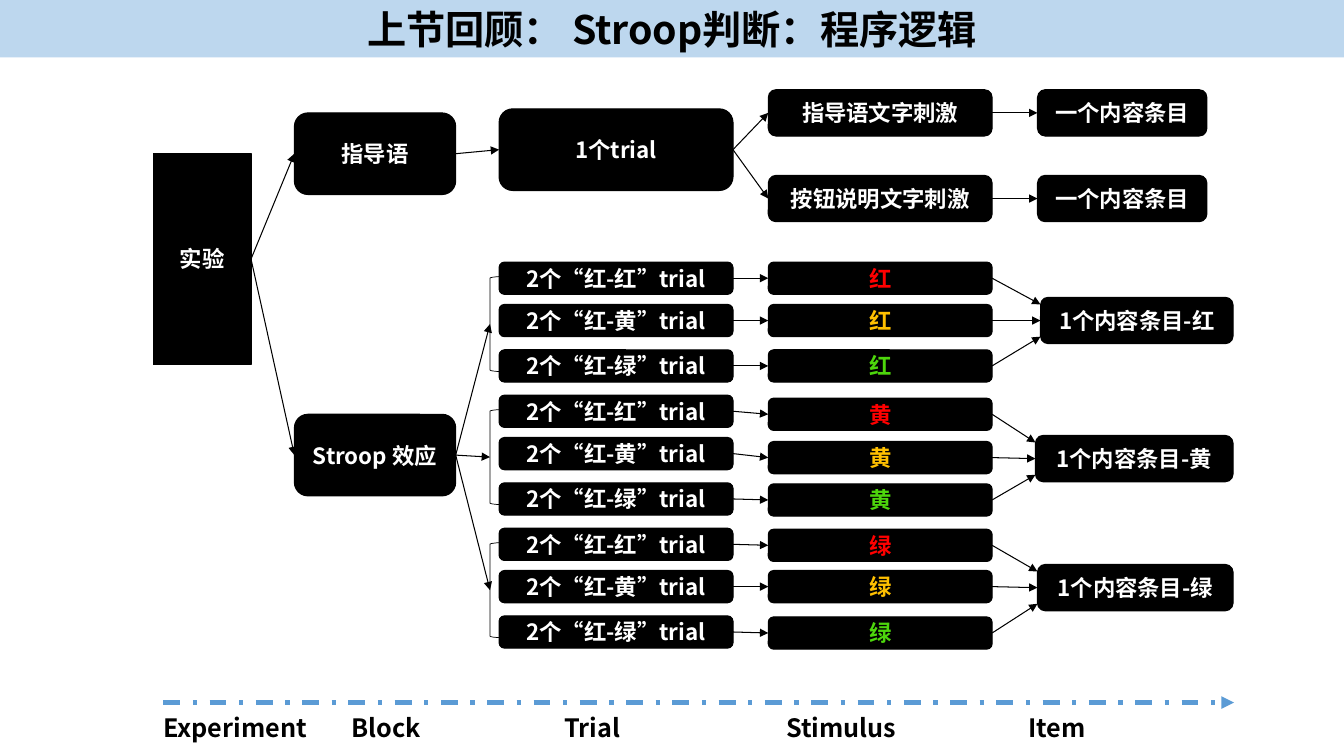
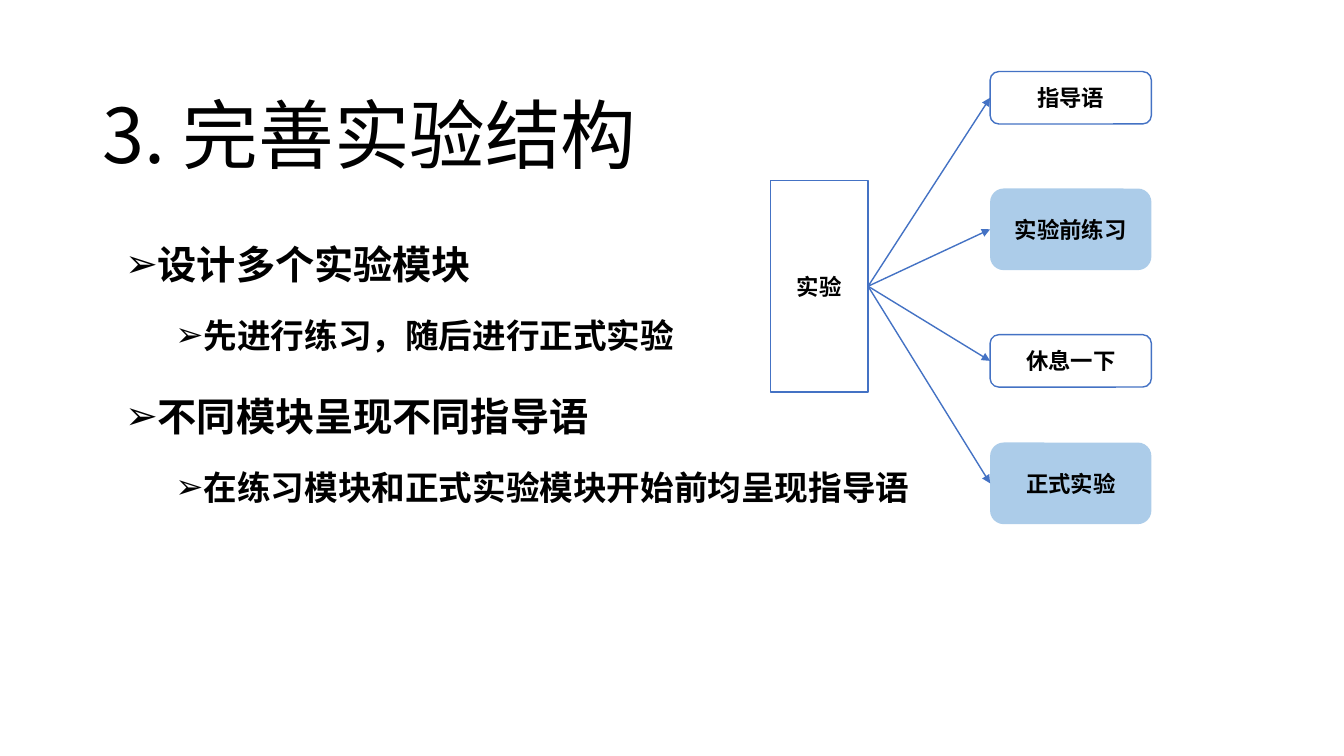
"""Build two slides on the structure of a Stroop experiment."""
from dataclasses import dataclass
from typing import Any, Optional

from lxml.etree import SubElement as Sub
from pptx import Presentation
from pptx.dml.color import RGBColor as RGB
from pptx.enum.dml import MSO_LINE as Dash
from pptx.enum.shapes import MSO_CONNECTOR as Conn, MSO_SHAPE as Form
from pptx.enum.text import MSO_ANCHOR as Anchor, MSO_AUTO_SIZE as Auto, PP_ALIGN as Align
from pptx.oxml.ns import qn
from pptx.util import Inches, Pt

SANS = "Noto Sans CJK SC"
PLAIN = "Noto Sans CJK JP"
BLACK, WHITE = "000000", "FFFFFF"
BAND, SKY, BLUE = "BDD7EE", "5B9BD5", "4472C4"
HUES = ("FF0000", "FFC000", "4DD60C")
WORDS = ("红", "黄", "绿")
STEPS = (0, 0.42, 0.87)
PORTS = (0.07, 0.23, 0.39)

Point = tuple[float, float]


@dataclass(frozen=True)
class Box:
    """A labelled box of a flow chart."""
    text: str
    left: float
    top: float
    width: float
    height: float
    ink: str = WHITE
    fill: str = BLACK
    edge: Optional[str] = BLACK
    weight: float = 0.75
    form: Any = Form.ROUNDED_RECTANGLE
    alpha: Optional[int] = None

    @property
    def start(self) -> Point:
        """Return the middle of the left side."""
        return self.left, self.top + self.height / 2

    @property
    def end(self) -> Point:
        """Return the middle of the right side."""
        return self.left + self.width, self.top + self.height / 2


@dataclass(frozen=True)
class Group:
    """Three trials with their stimuli and the item they share."""
    word: str
    top: float
    stims: tuple[float, float, float]
    item: Box


GROUPS = (
    Group("红", 2.6, (2.6, 3.02, 3.47), Box("1个内容条目-红", 10.32, 2.95, 1.91, 0.46)),
    Group("黄", 3.92, (3.95, 4.38, 4.8), Box("1个内容条目-黄", 10.27, 4.32, 1.96, 0.46)),
    Group("绿", 5.24, (5.25, 5.66, 6.12), Box("1个内容条目-绿", 10.29, 5.6, 1.94, 0.46)),
)
LABELS = ("Experiment", "Block", "Trial", "Stimulus", "Item")
TABS = (1.87, 3.98, 6.18, 8.58)
POINTS = (
    (0, "设计多个实验模块"),
    (1, "先进行练习，随后进行正式实验"),
    (0, "不同模块呈现不同指导语"),
    (1, "在练习模块和正式实验模块开始前均呈现指导语"),
)


def paint(fill: Any, tint: str) -> None:
    """Fill with a solid colour."""
    fill.solid()
    fill.fore_color.rgb = RGB.from_string(tint)


def style(para: Any, size: float, ink: str = BLACK, bold: bool = True, face: str = SANS) -> None:
    """Format every run of a paragraph."""
    for run in para.runs:
        font = run.font
        font.size, font.bold, font.name = Pt(size), bold, face
        paint(font.fill, ink)
        Sub(font._element, qn("a:ea"), typeface=face)


def place(shape: Any, left: float, top: float, width: float, height: float) -> None:
    """Move and size a shape."""
    shape.left, shape.top = Inches(left), Inches(top)
    shape.width, shape.height = Inches(width), Inches(height)


def draw(slide: Any, box: Box) -> Box:
    """Draw a box and hand it back."""
    size = (Inches(n) for n in (box.left, box.top, box.width, box.height))
    shape = slide.shapes.add_shape(box.form, *size)
    shape.shadow.inherit = False
    paint(shape.fill, box.fill)
    if box.alpha:
        tint = shape._element.spPr.find(".//" + qn("a:srgbClr"))
        Sub(tint, qn("a:alpha"), val=str(box.alpha * 1000))
    if box.edge:
        paint(shape.line.fill, box.edge)
        shape.line.width = Pt(box.weight)
    else:
        shape.line.fill.background()
    frame = shape.text_frame
    frame.word_wrap = True
    frame.vertical_anchor = Anchor.MIDDLE
    frame.text = box.text
    frame.paragraphs[0].alignment = Align.CENTER
    style(frame.paragraphs[0], 16, box.ink)
    return box


def arrow(slide: Any, start: Point, end: Point, tint: str = BLACK,
          weight: float = 0.75, dash: Any = None) -> None:
    """Draw a straight arrow."""
    ends = (Inches(n) for n in start + end)
    link = slide.shapes.add_connector(Conn.STRAIGHT, *ends)
    paint(link.line.fill, tint)
    link.line.width = Pt(weight)
    if dash:
        link.line.dash_style = dash
    Sub(link.line._get_or_add_ln(), qn("a:tailEnd"), type="triangle")
    Sub(link._element.spPr, qn("a:effectLst"))


def bracket(slide: Any, top: float) -> Point:
    """Draw a left bracket and return its tip."""
    left, high = 4.86, 0.95
    shape = slide.shapes.add_shape(
        Form.LEFT_BRACKET, Inches(left), Inches(top), Inches(0.23), Inches(high))
    shape.shadow.inherit = False
    shape.fill.background()
    paint(shape.line.fill, BLACK)
    shape.line.width = Pt(0.5)
    return left, top + high / 2


def title(slide: Any, text: str, size: float, bold: bool, face: str, side: Any) -> Any:
    """Write the title and return its placeholder."""
    shape = slide.shapes.title
    frame = shape.text_frame
    frame.text = text
    frame.word_wrap = True
    frame.auto_size = Auto.NONE
    frame.vertical_anchor = Anchor.MIDDLE
    frame.paragraphs[0].alignment = side
    style(frame.paragraphs[0], size, BLACK, bold, face)
    return shape


def chain(slide: Any, group: Group, block: Box) -> None:
    """Draw one group of trials, stimuli and item."""
    arrow(slide, block.end, bracket(slide, group.top + 0.14))
    item = draw(slide, group.item)
    for name, hue, step, top, port in zip(WORDS, HUES, STEPS, group.stims, PORTS):
        trial = draw(slide, Box(f"2个“红-{name}”trial", 4.95, group.top + step, 2.32, 0.32))
        stim = draw(slide, Box(group.word, 7.62, top, 2.22, 0.32, ink=hue))
        arrow(slide, trial.end, stim.start)
        arrow(slide, stim.end, (item.left, item.top + port))


def axis(slide: Any) -> None:
    """Draw the level arrow and its labels."""
    arrow(slide, (1.62, 6.97), (12.24, 6.97), SKY, 3, Dash.DASH_DOT)
    note = slide.shapes.add_textbox(Inches(1.52), Inches(7.02), Inches(10.71), Inches(0.4))
    note.text_frame.word_wrap = True
    para = note.text_frame.paragraphs[0]
    para.text = "\t".join(LABELS)
    stops = Sub(para._p.get_or_add_pPr(), qn("a:tabLst"))
    for stop in TABS:
        Sub(stops, qn("a:tab"), pos=str(Inches(stop)), algn="l")
    style(para, 18)


def review(deck: Any) -> None:
    """Build the slide on program logic."""
    slide = deck.slides.add_slide(deck.slide_layouts[5])
    head = title(slide, "上节回顾： Stroop判断：程序逻辑", 28, True, SANS, Align.CENTER)
    place(head, 0, 0, 13.33, 0.57)
    paint(head.fill, BAND)
    axis(slide)
    root = draw(slide, Box("实验", 1.52, 1.52, 0.97, 2.1, form=Form.RECTANGLE))
    guide = draw(slide, Box("指导语", 2.92, 1.12, 1.6, 0.81))
    block = draw(slide, Box("Stroop 效应", 2.92, 4.11, 1.6, 0.81))
    trial = draw(slide, Box("1个trial", 4.95, 1.08, 2.32, 0.81))
    for one, two in ((root, guide), (root, block), (guide, trial)):
        arrow(slide, one.end, two.start)
    for text, top in (("指导语文字刺激", 0.89), ("按钮说明文字刺激", 1.74)):
        stim = draw(slide, Box(text, 7.62, top, 2.22, 0.46))
        item = draw(slide, Box("一个内容条目", 10.29, top, 1.68, 0.46))
        arrow(slide, trial.end, stim.start)
        arrow(slide, stim.end, item.start)
    for group in GROUPS:
        chain(slide, group, block)


def bullets(body: Any) -> None:
    """Write the two-level list."""
    frame = body.text_frame
    frame.word_wrap = True
    frame.auto_size = Auto.NONE
    frame.vertical_anchor = Anchor.TOP
    for rank, (level, text) in enumerate(POINTS):
        para = frame.add_paragraph() if rank else frame.paragraphs[0]
        para.text = text
        para.level = level
        para.line_spacing = 1.5
        para.space_before = Pt((5 if level else 10) if rank else 0)
        props = para._p.get_or_add_pPr()
        props.set("marL", str(Inches(0.75 if level else 0.25)))
        props.set("indent", str(Inches(-0.25)))
        Sub(props, qn("a:buFont"), typeface="Arial")
        Sub(props, qn("a:buChar"), char="➢")
        style(para, 24 if level else 28)


def refine(deck: Any) -> None:
    """Build the slide on the fuller structure."""
    slide = deck.slides.add_slide(deck.slide_layouts[1])
    head = title(slide, "3. 完善实验结构", 54, False, PLAIN, Align.LEFT)
    head.text_frame.paragraphs[0].line_spacing = 0.9
    place(head, 0.92, 0.65, 11.5, 1.45)
    body = slide.placeholders[1]
    place(body, 1.14, 2.1, 9.36, 4.76)
    bullets(body)
    root = draw(slide, Box("实验", 7.64, 1.79, 0.97, 2.1, BLACK, WHITE, BLUE, 1, Form.RECTANGLE))
    for text, top in (("指导语", 0.71), ("休息一下", 3.32)):
        step = draw(slide, Box(text, 9.82, top, 1.6, 0.52, BLACK, WHITE, BLUE, 1))
        arrow(slide, root.end, step.start, BLUE, 1)
    for text, top in (("实验前练习", 1.87), ("正式实验", 4.39)):
        step = draw(slide, Box(text, 9.82, top, 1.6, 0.81, BLACK, SKY, None, alpha=50))
        arrow(slide, root.end, step.start, BLUE, 1)


def main() -> None:
    """Build and save the deck."""
    deck = Presentation()
    deck.slide_width, deck.slide_height = Inches(13.33), Inches(7.5)
    review(deck)
    refine(deck)
    deck.save("out.pptx")


if __name__ == "__main__":
    main()
